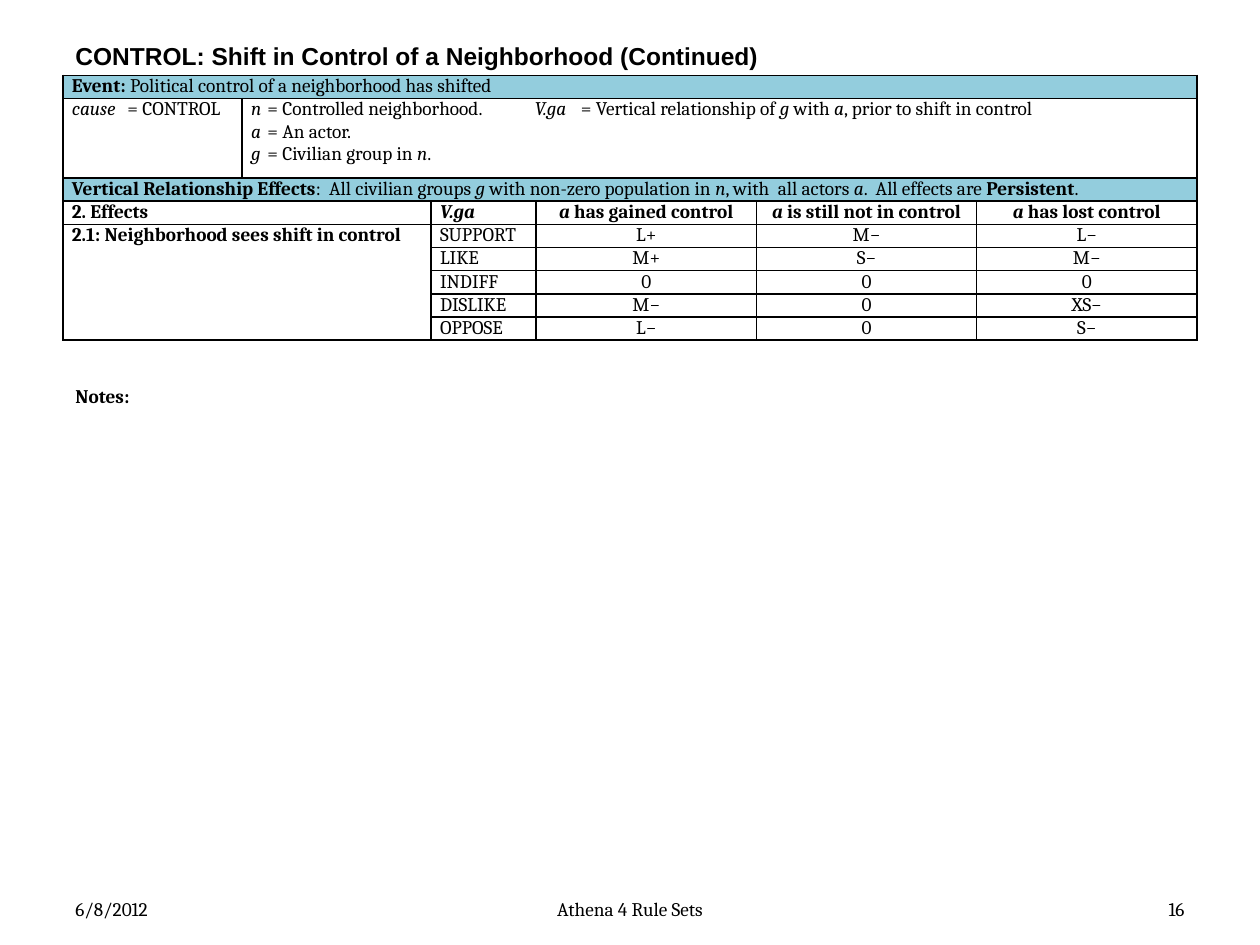
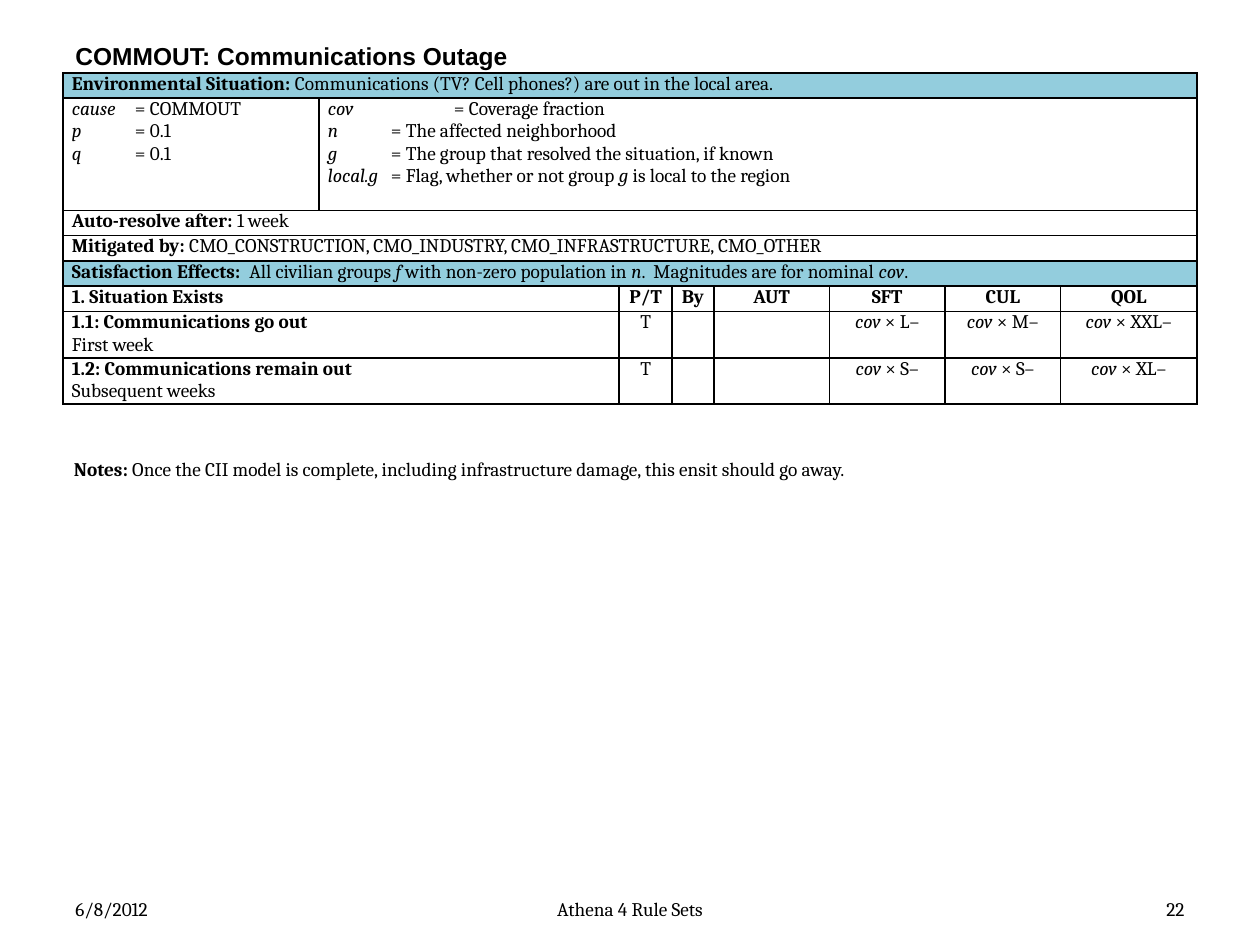
from dataclasses import dataclass

from lxml import etree
from pptx import Presentation
from pptx import util as u
from pptx.dml.color import RGBColor
from pptx.enum import text
from pptx.oxml import ns

BLACK = RGBColor(0x00, 0x00, 0x00)
WHITE = RGBColor(0xFF, 0xFF, 0xFF)
BAND_BLUE = RGBColor(0x93, 0xCD, 0xDD)

TITLE_FONT = {"name": "Arial", "size": u.Pt(14), "bold": True}
BODY_FONT = {"name": "Cambria", "size": u.Pt(11)}
CELL_FORMAT = {
    "margin_left": u.Cm(0.18),
    "margin_right": u.Cm(0.18),
    "margin_top": 0,
    "margin_bottom": 0,
}
TABLE_FORMAT = {"first_row": False, "horz_banding": False}

LEFT = 1.27
WIDTH = 22.86
FOOTER_TOP = 17.98
FOOTER_HEIGHT = 0.69

ALIGN_LEFT = text.PP_ALIGN.LEFT
ALIGN_CENTER = text.PP_ALIGN.CENTER
ALIGN_RIGHT = text.PP_ALIGN.RIGHT
MIDDLE = text.MSO_ANCHOR.MIDDLE
TOP = text.MSO_ANCHOR.TOP


@dataclass(frozen=True)
class Entry:
    markup: str = ""
    columns: int = 1
    rows: int = 1
    align: text.PP_ALIGN = ALIGN_LEFT
    fill: RGBColor = WHITE
    tabs: tuple[float, ...] = ()


@dataclass(frozen=True)
class TextBox:
    markup: str
    left: float
    top: float
    width: float
    height: float
    align: text.PP_ALIGN = ALIGN_LEFT
    anchor: text.MSO_ANCHOR = MIDDLE


@dataclass(frozen=True)
class RuleSet:
    title: str
    page: int
    table_top: float
    column_widths: list[float]
    row_heights: list[float]
    rows: list[list[Entry]]
    notes: TextBox


def apply_format(target, values: dict) -> None:
    for name, value in values.items():
        setattr(target, name, value)


def add_tabs(paragraph, tabs: tuple[float, ...]) -> None:
    properties = paragraph._p.get_or_add_pPr()
    tab_list = etree.SubElement(properties, ns.qn("a:tabLst"))
    for position in tabs:
        etree.SubElement(tab_list, ns.qn("a:tab"), pos=str(u.Cm(position)), algn="l")


def write_text(frame, markup: str, font: dict, align: text.PP_ALIGN,
               tabs: tuple[float, ...] = ()) -> None:
    """Asterisks enclose bold text and tildes enclose italic text."""
    for index, line in enumerate(markup.split("\n")):
        paragraph = frame.add_paragraph() if index else frame.paragraphs[0]
        paragraph.alignment = align
        if tabs:
            add_tabs(paragraph, tabs)
        for bold, section in enumerate(line.split("*")):
            for italic, piece in enumerate(section.split("~")):
                if piece:
                    run = paragraph.add_run()
                    run.text = piece
                    style = {"bold": bool(bold % 2), "italic": bool(italic % 2)}
                    apply_format(run.font, style | font)
                    run.font.color.rgb = BLACK


def add_text_box(slide, box: TextBox, font: dict) -> None:
    shape = slide.shapes.add_textbox(
        u.Cm(box.left), u.Cm(box.top), u.Cm(box.width), u.Cm(box.height))
    apply_format(shape.text_frame, {"word_wrap": True, "vertical_anchor": box.anchor})
    write_text(shape.text_frame, box.markup, font, box.align)


def add_borders(cell) -> None:
    properties = cell._tc.get_or_add_tcPr()
    for position, side in enumerate(("a:lnL", "a:lnR", "a:lnT", "a:lnB")):
        line = etree.Element(ns.qn(side), w=str(u.Pt(1)))
        fill = etree.SubElement(line, ns.qn("a:solidFill"))
        etree.SubElement(fill, ns.qn("a:srgbClr"), val=str(BLACK))
        properties.insert(position, line)


def fill_entry(table, row: int, column: int, entry: Entry) -> None:
    cell = table.cell(row, column)
    if entry.columns > 1 or entry.rows > 1:
        cell.merge(table.cell(row + entry.rows - 1, column + entry.columns - 1))
    cell.fill.solid()
    cell.fill.fore_color.rgb = entry.fill
    write_text(cell.text_frame, entry.markup, BODY_FONT, entry.align, entry.tabs)


def add_rule_table(slide, rules: RuleSet) -> None:
    frame = slide.shapes.add_table(
        len(rules.row_heights), len(rules.column_widths), u.Cm(LEFT),
        u.Cm(rules.table_top), u.Cm(WIDTH), u.Cm(sum(rules.row_heights)))
    table = frame.table
    apply_format(table, TABLE_FORMAT)
    for column, width in zip(table.columns, rules.column_widths):
        column.width = u.Cm(width)
    for row, height in zip(table.rows, rules.row_heights):
        row.height = u.Cm(height)
    for cell in table.iter_cells():
        apply_format(cell, CELL_FORMAT)
        add_borders(cell)
    for row_index, entries in enumerate(rules.rows):
        column_index = 0
        for entry in entries:
            while table.cell(row_index, column_index).is_spanned:
                column_index += 1
            fill_entry(table, row_index, column_index, entry)
            column_index += entry.columns


def add_rule_slide(presentation, rules: RuleSet) -> None:
    slide = presentation.slides.add_slide(presentation.slide_layouts[6])
    add_text_box(slide, TextBox(rules.title, LEFT, 0.76, WIDTH, 0.71), TITLE_FONT)
    footers = [
        ("6/8/2012", LEFT, 5.93, ALIGN_LEFT),
        ("Athena 4 Rule Sets", 8.68, 8.04, ALIGN_CENTER),
        (str(rules.page), 18.2, 5.93, ALIGN_RIGHT),
    ]
    for words, left, width, align in footers:
        footer = TextBox(words, left, FOOTER_TOP, width, FOOTER_HEIGHT, align)
        add_text_box(slide, footer, BODY_FONT)
    add_rule_table(slide, rules)
    add_text_box(slide, rules.notes, BODY_FONT)


def band(markup: str, columns: int) -> list[Entry]:
    return [Entry(markup, columns, fill=BAND_BLUE)]


def centered(*markups: str) -> list[Entry]:
    return [Entry(markup, align=ALIGN_CENTER) for markup in markups]


def control_rules() -> RuleSet:
    effects = [
        ("SUPPORT", "L+", "M−", "L−"),
        ("LIKE", "M+", "S−", "M−"),
        ("INDIFF", "0", "0", "0"),
        ("DISLIKE", "M−", "0", "XS−"),
        ("OPPOSE", "L−", "0", "S−"),
    ]
    effect_rows = [[Entry(level), *centered(*sizes)] for level, *sizes in effects]
    effect_rows[0].insert(
        0, Entry("*2.1: Neighborhood sees shift in control*", 2, len(effects)))
    definitions = (
        "~n~\t= Controlled neighborhood.\t~V.ga~\t= Vertical relationship of ~g~ "
        "with ~a~, prior to shift in control\n"
        "~a~\t= An actor.\n"
        "~g~\t= Civilian group in ~n~."
    )
    return RuleSet(
        title="CONTROL: Shift in Control of a Neighborhood (Continued)",
        page=16,
        table_top=1.52,
        column_widths=[3.61, 3.81, 2.12] + [4.44] * 3,
        row_heights=[0.45, 1.6] + [0.45] * 7,
        rows=[
            band("*Event:* Political control of a neighborhood has shifted", 6),
            [Entry("~cause~\t= CONTROL", tabs=(1.12,)),
             Entry(definitions, 5, tabs=(0.33, 5.72, 6.65))],
            band("*Vertical Relationship Effects*:  All civilian groups ~g~ with "
                 "non-zero population in ~n~, with  all actors ~a~.  All effects "
                 "are *Persistent*.", 6),
            [Entry("*2. Effects*", 2), Entry("*~V.ga~*"),
             *centered("*~a~ has gained control*", "*~a~ is still not in control*",
                       "*~a~ has lost control*")],
            *effect_rows,
        ],
        notes=TextBox("*Notes:*", 1.27, 7.62, 23.06, 0.74, anchor=TOP),
    )


def outage_rules() -> RuleSet:
    definitions = (
        "~cov~\t\t= Coverage fraction\n"
        "~n~\t= The affected neighborhood\n"
        "~g~\t= The group that resolved the situation, if known\n"
        "~local.g~\t= Flag, whether or not group ~g~ is local to the region"
    )
    situations = [
        ("*1.1: Communications go out*\nFirst week", ("L–", "M–", "XXL–")),
        ("*1.2: Communications remain out*\nSubsequent weeks", ("S–", "S–", "XL–")),
    ]
    headings = ("P/T", "By", "AUT", "SFT", "CUL", "QOL")
    return RuleSet(
        title="COMMOUT: Communications Outage",
        page=22,
        table_top=1.47,
        column_widths=[5.16, 6.05, 1.07, 0.84] + [2.33] * 3 + [2.75],
        row_heights=[0.51, 2.26] + [0.51] * 4 + [0.9] * 2,
        rows=[
            band("*Environmental Situation:* Communications (TV? Cell phones?) "
                 "are out in the local area.", 8),
            [Entry("~cause~\t= COMMOUT\n~p~\t= 0.1\n~q~\t= 0.1", tabs=(1.27,)),
             Entry(definitions, 7, tabs=(1.27, 2.54))],
            [Entry("*Auto-resolve after:* 1 week", 8)],
            [Entry("*Mitigated by:* CMO_CONSTRUCTION, CMO_INDUSTRY, "
                   "CMO_INFRASTRUCTURE, CMO_OTHER", 8)],
            band("*Satisfaction Effects:  *All civilian groups ~f ~with non-zero "
                 "population in ~n~.  Magnitudes are for nominal ~cov~.", 8),
            [Entry("*1. Situation Exists*", 2),
             *centered(*(f"*{heading}*" for heading in headings))],
            *([Entry(situation, 2),
               *centered("T", "", "", *(f"~cov~ × {size}" for size in sizes))]
              for situation, sizes in situations),
        ],
        notes=TextBox("*Notes:* Once the CII model is complete, including "
                      "infrastructure damage, this ensit should go away.",
                      1.24, 9.09, 23.06, 0.74, anchor=TOP),
    )


def main() -> None:
    presentation = Presentation()
    apply_format(presentation, {"slide_width": u.Cm(25.4), "slide_height": u.Cm(19.05)})
    for rules in (control_rules(), outage_rules()):
        add_rule_slide(presentation, rules)
    presentation.save("out.pptx")


if __name__ == "__main__":
    main()
